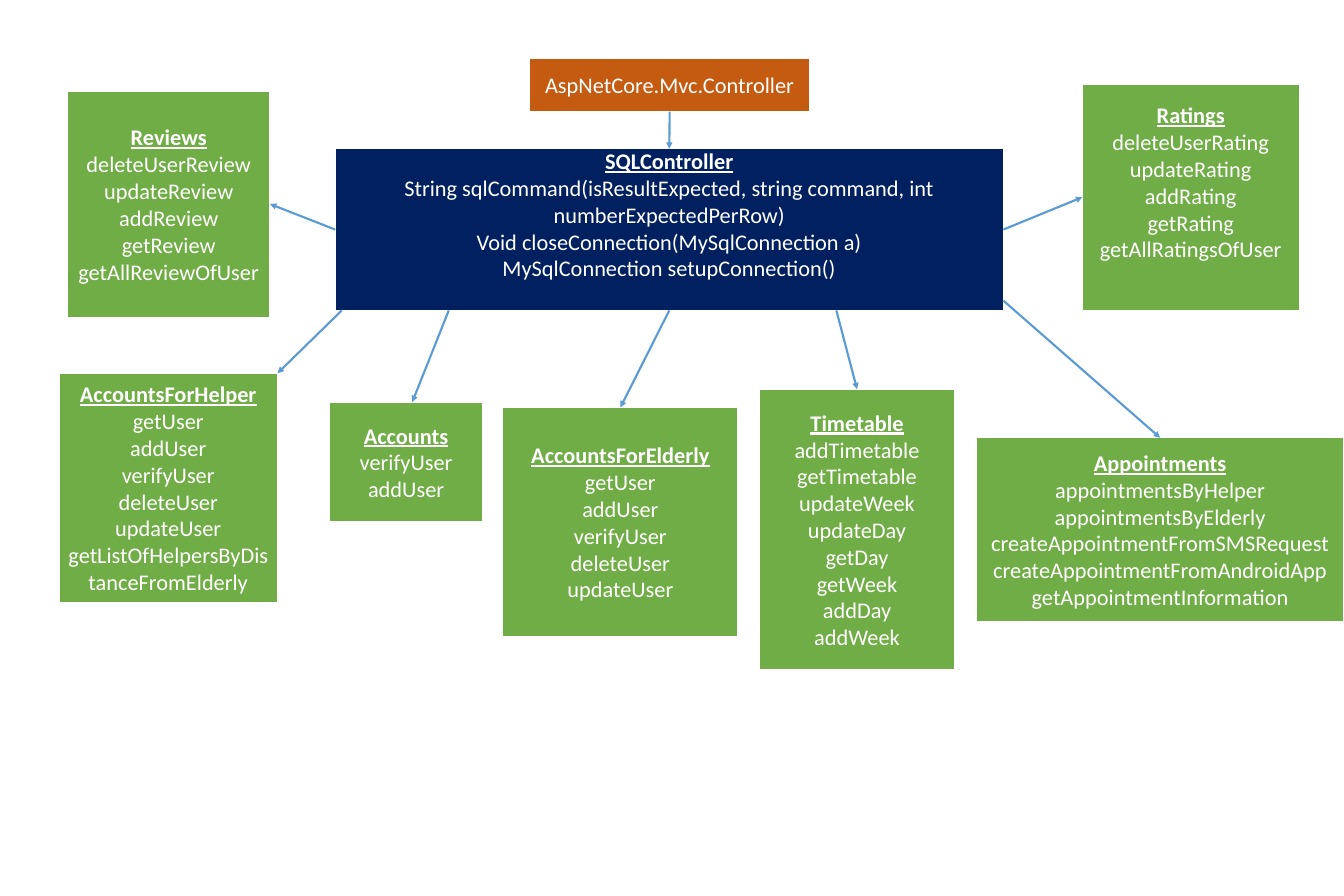
from pptx import Presentation
from pptx.dml.color import RGBColor
from pptx.enum.shapes import MSO_CONNECTOR as Link, MSO_SHAPE as Form
from pptx.enum.text import MSO_ANCHOR as Anchor, PP_ALIGN as Align
from pptx.oxml.ns import qn
from pptx.util import Inches, Pt
from lxml.etree import SubElement as add_node

WIDE, HIGH = Inches(17.72), Inches(11.81)
ORANGE, NAVY, GREEN, BLUE, WHITE = "C55A11", "002060", "70AD47", "5B9BD5", "FFFFFF"
LINE = 3.4  # room left free below the text, in percent of the height

# Boxes: left, top, width, height in percent of the slide
BASE = (39.39, 6.52, 20.88, 5.93)
HUB = (24.94, 16.6, 49.72, 18.04)
HUB_TEXT = [
    "String sqlCommand(isResultExpected, string command, int numberExpectedPerRow)",
    "Void closeConnection(MySqlConnection a)",
    "MySqlConnection setupConnection()",
]

# Name, box, start on the hub, end on the box (shares of each), room below, methods
TABLES = [
    ("Reviews", (5.02, 10.16, 15.07, 25.23), (0, .5), (1, .5), 0,
     "deleteUserReview updateReview addReview getReview getAllReviewOfUser"),
    ("Accounts", (24.55, 44.88, 11.34, 13.38), (.17, 1), (.54, 0), 0,
     "verifyUser addUser"),
    ("AccountsForHelper", (4.4, 41.66, 16.25, 25.57), (.01, 1), (1, 0), 0,
     "getUser addUser verifyUser deleteUser updateUser "
     "getListOfHelpersByDistanceFromElderly"),
    ("Appointments", (72.69, 48.86, 27.26, 20.49), (1, .94), (.5, 0), 0,
     "appointmentsByHelper appointmentsByElderly createAppointmentFromSMSRequest "
     "createAppointmentFromAndroidApp getAppointmentInformation"),
    ("Ratings", (80.53, 9.4, 16.14, 25.23), (1, .5), (0, .5), LINE,
     "deleteUserRating updateRating addRating getRating getAllRatingsOfUser"),
    ("AccountsForElderly", (37.42, 45.47, 17.49, 25.57), (.5, 1), (.5, 0), 0,
     "getUser addUser verifyUser deleteUser updateUser"),
    ("Timetable", (56.49, 43.44, 14.56, 31.33), (.75, 1), (.5, 0), 0,
     "addTimetable getTimetable updateWeek updateDay getDay getWeek addDay addWeek"),
]


def paint(color, tone):
    color.rgb = RGBColor.from_string(tone)


def col(share):
    return round(WIDE * share / 100)


def row(share):
    return round(HIGH * share / 100)


def write(para, text, size=21.2, face="Calibri", tone=WHITE, head=False):
    para.alignment = Align.CENTER
    run = para.add_run()
    run.text = text
    font = run.font
    font.size, font.name = Pt(size), face
    font.bold = font.underline = head
    paint(font.color, tone)


def draw_box(slide, area, tone, lines, title=None, room=0):
    left, top, width, height = area
    box = slide.shapes.add_shape(
        Form.RECTANGLE, col(left), row(top), col(width), row(height))
    box.shadow.inherit = False
    box.fill.solid()
    paint(box.fill.fore_color, tone)
    paint(box.line.color, WHITE)
    box.line.width = Pt(1)
    frame = box.text_frame
    frame.word_wrap = True
    frame.vertical_anchor = Anchor.MIDDLE
    frame.margin_bottom = Inches(.05) + row(room)
    texts = [title, *lines] if title else lines
    for i, text in enumerate(texts):
        para = frame.add_paragraph() if i else frame.paragraphs[0]
        write(para, text, head=text == title)


def spot(area, share):
    left, top, width, height = area
    return col(left + width * share[0]), row(top + height * share[1])


def draw_arrow(slide, start, end):
    link = slide.shapes.add_connector(Link.STRAIGHT, *start, *end)
    paint(link.line.color, BLUE)
    link.line.width = Pt(2)
    add_node(link.line._get_or_add_ln(), qn("a:tailEnd"), type="triangle")
    add_node(link._element.spPr, qn("a:effectLst"))


def main():
    deck = Presentation()
    deck.slide_width, deck.slide_height = WIDE, HIGH
    slide = deck.slides.add_slide(deck.slide_layouts[6])

    # Base class and the controller derived from it
    draw_box(slide, BASE, ORANGE, ["AspNetCore.Mvc.Controller"])
    draw_box(slide, HUB, NAVY, HUB_TEXT, "SQLController", LINE)
    draw_arrow(slide, spot(BASE, (.5, 1)), spot(HUB, (.5, 0)))

    # Classes around the controller
    for name, area, start, end, room, calls in TABLES:
        draw_box(slide, area, GREEN, calls.split(), name, room)
        draw_arrow(slide, spot(HUB, start), spot(area, end))

    deck.save("out.pptx")


main()
